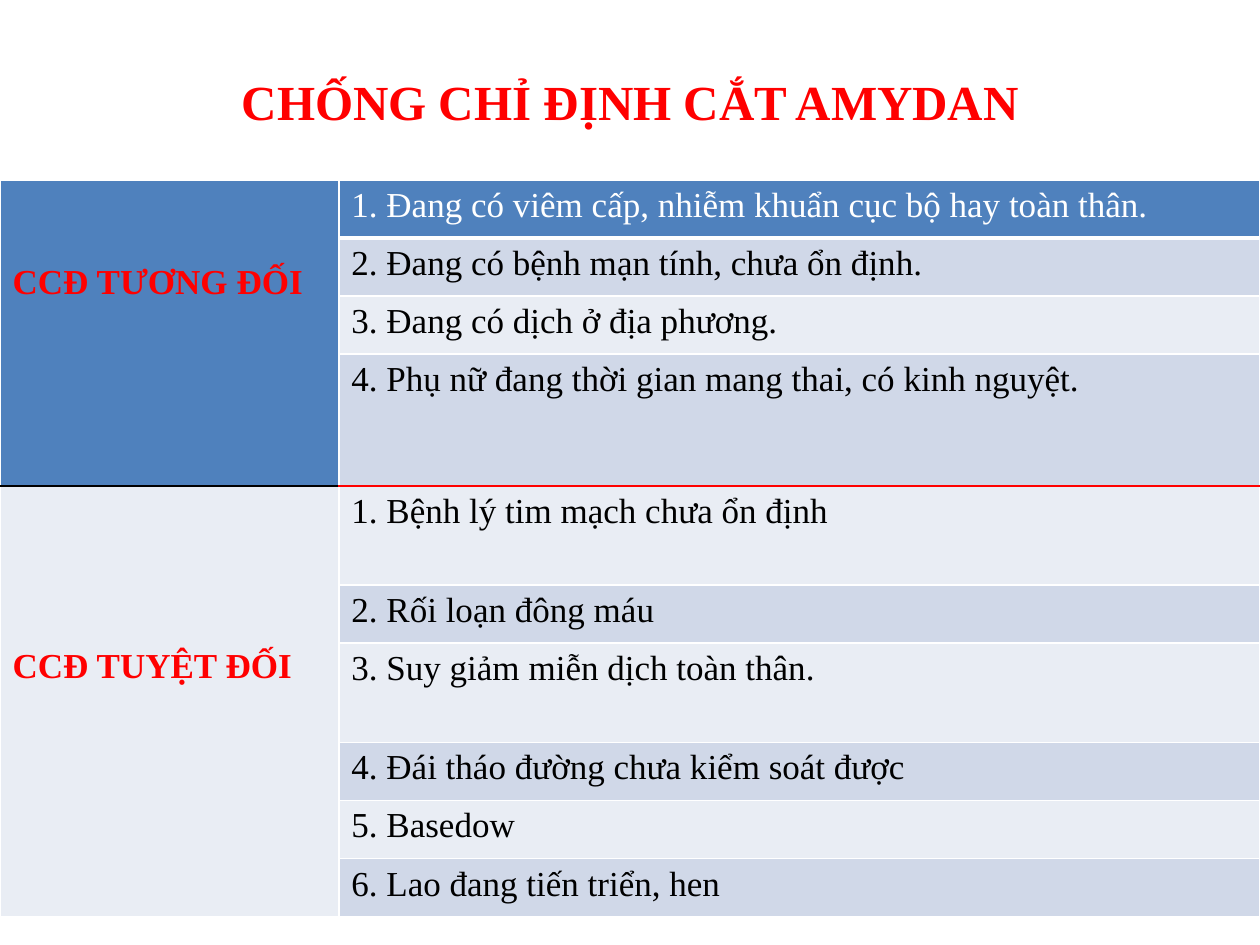
from lxml.etree import SubElement
from pptx import Presentation
from pptx.dml.color import RGBColor
from pptx.enum.text import MSO_ANCHOR, PP_ALIGN
from pptx.oxml.ns import qn
from pptx.util import Cm, Pt

FONT = "Times New Roman"
RED = RGBColor(0xFF, 0x00, 0x00)
BLACK = RGBColor(0x00, 0x00, 0x00)
WHITE = RGBColor(0xFF, 0xFF, 0xFF)
HEADER = RGBColor(0x4F, 0x81, 0xBD)
BANDS = [RGBColor(0xE9, 0xED, 0xF4), RGBColor(0xD0, 0xD8, 0xE8)]

ROW, TALL_ROW, LAST_RELATIVE_ROW = 1.17, 2.0, 2.6

# Label, top margin of the label, rows as (text, height)
GROUPS = [
    ("CCĐ TƯƠNG ĐỐI", 1.68, [
        ("1. Đang có viêm cấp, nhiễm khuẩn cục bộ hay toàn thân.", ROW),
        ("2. Đang có bệnh mạn tính, chưa ổn định.", ROW),
        ("3. Đang có dịch ở địa phương.", ROW),
        ("4. Phụ nữ đang thời gian mang thai, có kinh nguyệt.", LAST_RELATIVE_ROW),
    ]),
    ("CCĐ TUYỆT ĐỐI", 3.25, [
        ("1. Bệnh lý tim mạch chưa ổn định", TALL_ROW),
        ("2. Rối loạn đông máu", ROW),
        ("3. Suy giảm miễn dịch toàn thân.", TALL_ROW),
        ("4. Đái tháo đường chưa kiểm soát được", ROW),
        ("5. Basedow", ROW),
        ("6. Lao đang tiến triển, hen", ROW),
    ]),
]


def set_text(tf, text, size, color, bold, align):
    tf.text = text
    p = tf.paragraphs[0]
    p.alignment = align
    font = p.runs[0].font
    font.name, font.size, font.bold = FONT, Pt(size), bold
    font.color.rgb = color


def add_title(s, text):
    tb = s.shapes.add_textbox(Cm(2.23), Cm(0.46), Cm(20.95), Cm(3.17))
    tf = tb.text_frame
    tf.word_wrap = True
    tf.vertical_anchor = MSO_ANCHOR.MIDDLE
    set_text(tf, text, 28, RED, True, PP_ALIGN.CENTER)


def style_cell(cell, fill, top=(WHITE, 1), bottom=(WHITE, 1)):
    """Borders come before the fill in the cell properties."""
    tcPr = cell._tc.get_or_add_tcPr()
    side = (WHITE, 1)
    for tag, (color, width) in zip(("lnL", "lnR", "lnT", "lnB"),
                                   (side, side, top, bottom)):
        ln = SubElement(tcPr, qn(f"a:{tag}"), w=str(Pt(width)))
        solid = SubElement(ln, qn("a:solidFill"))
        SubElement(solid, qn("a:srgbClr"), val=str(color))
    cell.fill.solid()
    cell.fill.fore_color.rgb = fill


def add_group(table, first, label, margin, items):
    last = first + len(items) - 1
    is_header = first == 0
    for i, (text, height) in enumerate(items, first):
        table.rows[i].height = Cm(height)
        left, right = table.cell(i, 0), table.cell(i, 1)

        # The two groups meet at a black and red line
        tops = bottoms = ((WHITE, 1), (WHITE, 1))
        divider = ((BLACK, 1), (RED, 1))
        if i == first and not is_header:
            tops = divider
        if i == last and is_header:
            bottoms = divider
        if i == 0:
            bottoms = ((WHITE, 1), (WHITE, 3))

        style_cell(left, HEADER if is_header else BANDS[0], tops[0],
                   divider[0] if is_header else bottoms[0])
        style_cell(right, HEADER if i == 0 else BANDS[i % 2], tops[1], bottoms[1])
        set_text(right.text_frame, text, 20, WHITE if i == 0 else BLACK,
                 False, PP_ALIGN.LEFT)

    # Label spanning the group
    cell = table.cell(first, 0)
    cell.merge(table.cell(last, 0))
    cell.margin_top = Cm(margin)
    set_text(cell.text_frame, label, 20, RED, True, PP_ALIGN.JUSTIFY)


def add_contraindications(s):
    heights = [height for _, _, items in GROUPS for _, height in items]
    frame = s.shapes.add_table(len(heights), 2, Cm(0), Cm(3.63),
                               Cm(25.4), Cm(sum(heights)))
    table = frame.table
    table.columns[0].width = Cm(6.83)
    table.columns[1].width = Cm(18.57)
    first = 0
    for label, margin, items in GROUPS:
        add_group(table, first, label, margin, items)
        first += len(items)


def main():
    prs = Presentation()
    prs.slide_width, prs.slide_height = Cm(25.4), Cm(19.05)
    s = prs.slides.add_slide(prs.slide_layouts[6])
    add_title(s, "CHỐNG CHỈ ĐỊNH CẮT AMYDAN")
    add_contraindications(s)
    prs.save("out.pptx")


if __name__ == "__main__":
    main()
